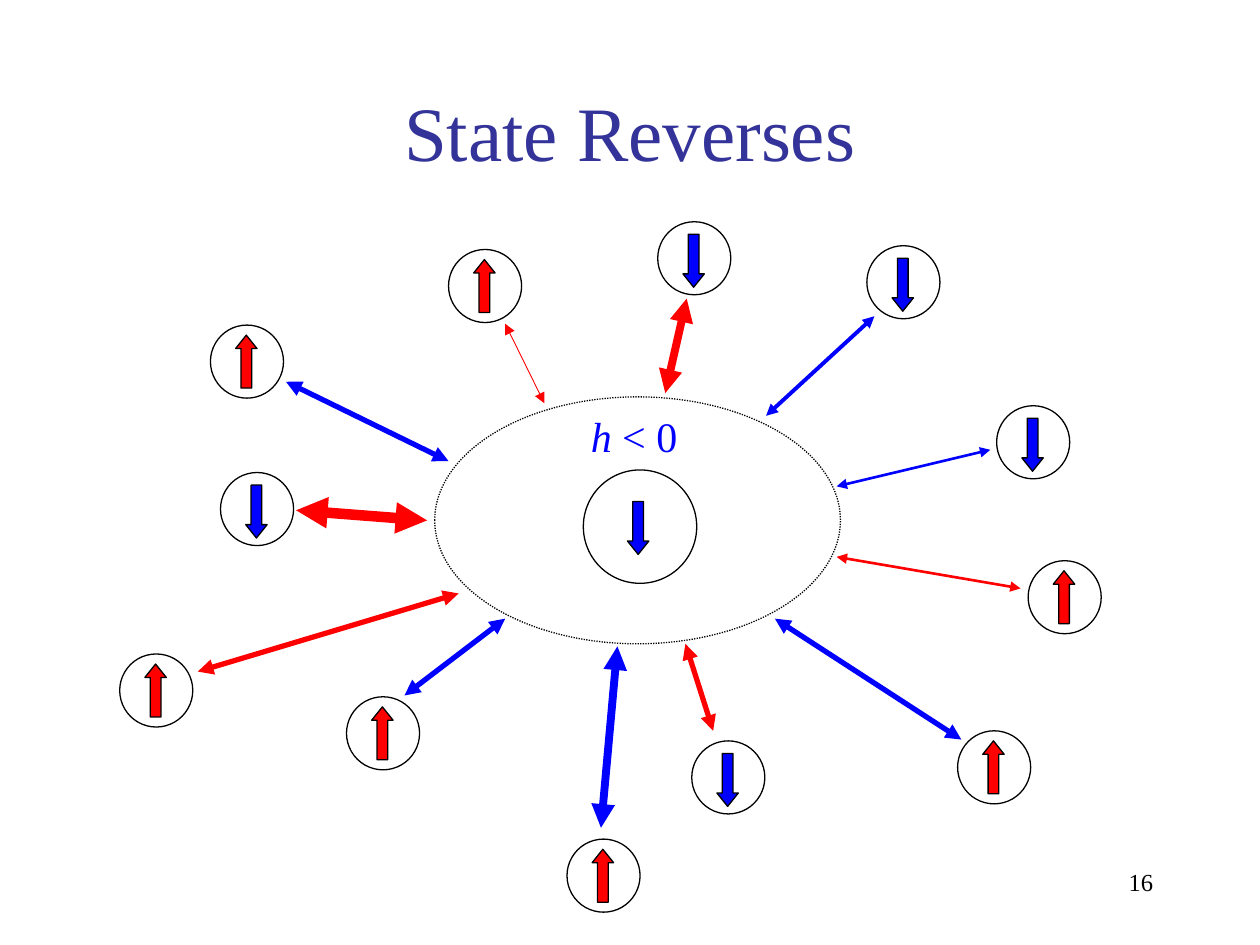
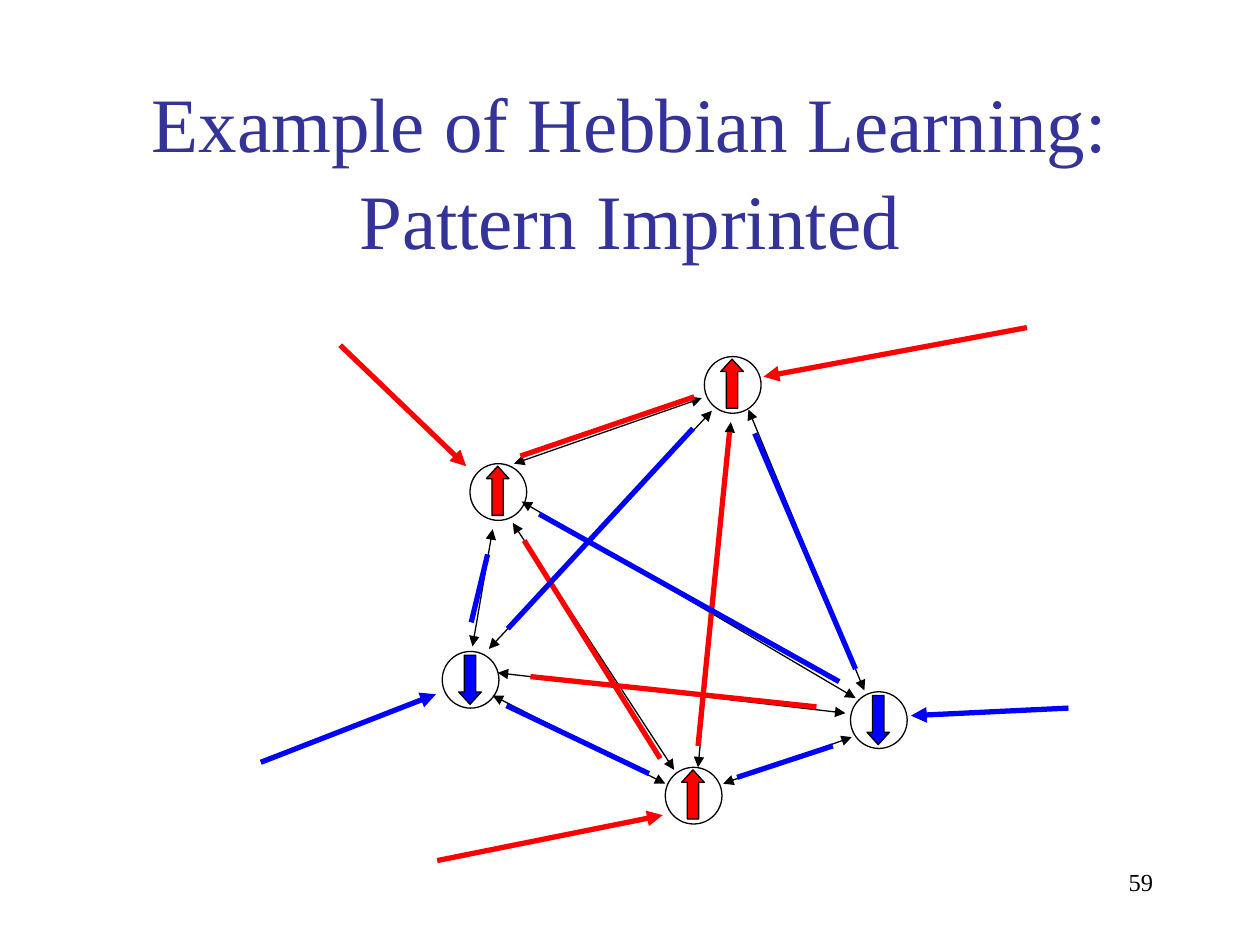
from dataclasses import dataclass
from typing import Any

from lxml.etree import SubElement
from pptx import Presentation
from pptx.dml.color import RGBColor
from pptx.enum.dml import MSO_LINE
from pptx.enum.shapes import MSO_CONNECTOR, MSO_SHAPE
from pptx.enum.text import MSO_ANCHOR, MSO_AUTO_SIZE, PP_ALIGN
from pptx.oxml.ns import qn
from pptx.util import Emu, Pt

EMU_PER_PX = 9144
TITLE_ONLY = 5
COLORS = {
    "title": "333399",
    "black": "000000",
    "white": "FFFFFF",
    "up": "FF0000",
    "down": "0000FF",
}
FONT = "Times New Roman"
TITLE_FONT = {"name": FONT, "size": Pt(44)}
NUMBER_FONT = {"name": FONT, "size": Pt(14)}
FIELD_FONT = {"name": FONT, "size": Pt(24)}


def px(length: int) -> Emu:
    return Emu(length * EMU_PER_PX)


TITLE_FRAME = {
    "auto_size": MSO_AUTO_SIZE.NONE,
    "word_wrap": True,
    "vertical_anchor": MSO_ANCHOR.MIDDLE,
    "margin_top": px(13),
}
NUMBER_FRAME = {"word_wrap": True}
FIELD_FRAME = {"word_wrap": False, "auto_size": MSO_AUTO_SIZE.SHAPE_TO_FIT_TEXT}


@dataclass(frozen=True)
class NeuronStyle:
    outline: MSO_SHAPE
    diameter: int
    arrow_width: int
    arrow_height: int
    arrow_left: int
    arrow_top: dict[str, int]
    head_ratio: float


@dataclass(frozen=True)
class Neuron:
    left: int
    top: int
    state: str


@dataclass(frozen=True)
class Link:
    start: tuple[int, int]
    end: tuple[int, int]
    color: str
    width: float = 3


NEIGHBOR = NeuronStyle(MSO_SHAPE.FLOWCHART_CONNECTOR, 58, 17, 42, 20, {"up": 8, "down": 10}, 0.625)
CENTER = NeuronStyle(MSO_SHAPE.OVAL, 90, 17, 42, 35, {"up": 25, "down": 25}, 0.625)
MEMBER = NeuronStyle(MSO_SHAPE.OVAL, 45, 18, 39, 13, {"up": 2, "down": 3}, 0.55)

NEIGHBORS = [
    Neuron(167, 258, "up"),
    Neuron(175, 375, "down"),
    Neuron(275, 553, "up"),
    Neuron(688, 195, "down"),
    Neuron(791, 322, "down"),
    Neuron(95, 519, "up"),
    Neuron(356, 198, "up"),
    Neuron(549, 588, "down"),
    Neuron(760, 580, "up"),
    Neuron(816, 445, "up"),
    Neuron(522, 176, "down"),
    Neuron(450, 666, "up"),
]
WEIGHTS = [
    Link((401, 257), (432, 320), "up", 0.5),
    Link((227, 303), (356, 366), "down"),
    Link((235, 405), (339, 413), "up", 6),
    Link((157, 533), (364, 471), "up"),
    Link((321, 552), (401, 491), "down"),
    Link((477, 657), (490, 513), "down", 4.5),
    Link((566, 580), (544, 511), "up"),
    Link((763, 587), (615, 491), "down"),
    Link((810, 467), (664, 442), "up", 1.5),
    Link((694, 251), (608, 330), "down", 2.25),
    Link((545, 237), (528, 312), "up", 4.5),
    Link((786, 357), (664, 386), "down", 1.5),
]

MEMBERS = [
    Neuron(373, 368, "up"),
    Neuron(351, 517, "down"),
    Neuron(528, 609, "up"),
    Neuron(675, 549, "down"),
    Neuron(559, 283, "up"),
]
CONNECTIONS = [
    Link(start, end, "black", 0.75)
    for start, end in [
        ((391, 552), (528, 622)),
        ((391, 420), (375, 513)),
        ((557, 316), (408, 368)),
        ((594, 325), (686, 548)),
        ((574, 622), (676, 585)),
        ((414, 398), (679, 554)),
        ((388, 515), (565, 326)),
        ((554, 609), (580, 335)),
        ((395, 534), (671, 566)),
        ((407, 415), (535, 611)),
    ]
]
INPUTS = [
    Link((270, 274), (370, 370), "up"),
    Link((207, 605), (346, 551), "down"),
    Link((347, 683), (526, 647), "up"),
    Link((848, 562), (723, 568), "down"),
    Link((815, 260), (606, 299), "up"),
]
IMPRINTS = [
    Link((413, 362), (551, 315), "up"),
    Link((554, 592), (579, 343), "up"),
    Link((648, 561), (421, 537), "up"),
    Link((524, 602), (416, 429), "up"),
    Link((515, 614), (402, 560), "down"),
    Link((661, 592), (585, 617), "down"),
    Link((387, 440), (374, 494), "down"),
    Link((599, 344), (679, 531), "down"),
    Link((550, 340), (403, 499), "down"),
    Link((666, 541), (428, 408), "down"),
]


def rgb(name: str) -> RGBColor:
    return RGBColor.from_string(COLORS[name])


def apply_format(target: Any, values: dict[str, Any]) -> None:
    for name, value in values.items():
        setattr(target, name, value)


def add_run(paragraph: Any, text: str, font: dict[str, Any], color: str) -> Any:
    run = paragraph.add_run()
    run.text = text
    apply_format(run.font, font)
    run.font.color.rgb = rgb(color)
    return run


def place(shape: Any, left: int, top: int, width: int, height: int) -> None:
    apply_format(shape, {"left": px(left), "top": px(top), "width": px(width), "height": px(height)})


def add_slide(presentation: Any, title_lines: list[str], title_height: int, number: str) -> Any:
    slide = presentation.slides.add_slide(presentation.slide_layouts[TITLE_ONLY])
    title = slide.shapes.title
    place(title, 75, 67, 850, title_height)
    apply_format(title.text_frame, TITLE_FRAME)
    paragraph = title.text_frame.paragraphs[0]
    apply_format(paragraph, {"alignment": PP_ALIGN.CENTER, "line_spacing": 1.05})
    for index, line in enumerate(title_lines):
        if index:
            paragraph.add_line_break()
        add_run(paragraph, line, TITLE_FONT, "title")

    number_box = slide.shapes.add_textbox(px(717), px(683), px(208), px(50))
    apply_format(number_box.text_frame, NUMBER_FRAME)
    paragraph = number_box.text_frame.paragraphs[0]
    paragraph.alignment = PP_ALIGN.RIGHT
    add_run(paragraph, number, NUMBER_FONT, "black")
    return slide


def add_outlined(shapes: Any, kind: MSO_SHAPE, left: int, top: int, width: int, height: int,
                 fill: str | None) -> Any:
    shape = shapes.add_shape(kind, px(left), px(top), px(width), px(height))
    shape.shadow.inherit = False
    if fill is None:
        shape.fill.background()
    else:
        shape.fill.solid()
        shape.fill.fore_color.rgb = rgb(fill)
    shape.line.color.rgb = rgb("black")
    shape.line.width = Pt(0.75)
    return shape


def add_neuron(slide: Any, neuron: Neuron, style: NeuronStyle) -> None:
    group = slide.shapes.add_group_shape()
    add_outlined(group.shapes, style.outline, neuron.left, neuron.top,
                 style.diameter, style.diameter, "white")
    arrow = add_outlined(group.shapes, MSO_SHAPE.UP_ARROW, neuron.left + style.arrow_left,
                         neuron.top + style.arrow_top[neuron.state],
                         style.arrow_width, style.arrow_height, neuron.state)
    arrow.adjustments[0] = 0.5
    arrow.adjustments[1] = style.head_ratio
    if neuron.state == "down":
        arrow.rotation = 180


def add_link(slide: Any, link: Link, arrowheads: tuple[str, ...]) -> None:
    connector = slide.shapes.add_connector(
        MSO_CONNECTOR.STRAIGHT, *(px(value) for value in link.start + link.end))
    connector.line.color.rgb = rgb(link.color)
    connector.line.width = Pt(link.width)
    properties = connector._element.spPr
    outline = properties.find(qn("a:ln"))
    for arrowhead in arrowheads:
        SubElement(outline, qn(f"a:{arrowhead}"), type="triangle")
    SubElement(properties, qn("a:effectLst"))


def add_links(slide: Any, links: list[Link], *arrowheads: str) -> None:
    for link in links:
        add_link(slide, link, arrowheads)


def build_state_slide(presentation: Any) -> None:
    slide = add_slide(presentation, ["State Reverses"], 62, "16")
    for neuron in NEIGHBORS:
        add_neuron(slide, neuron, NEIGHBOR)
    add_neuron(slide, Neuron(463, 373, "down"), CENTER)
    boundary = add_outlined(slide.shapes, MSO_SHAPE.OVAL, 345, 315, 322, 196, None)
    boundary.line.dash_style = MSO_LINE.ROUND_DOT
    add_links(slide, WEIGHTS, "headEnd", "tailEnd")

    field_box = slide.shapes.add_textbox(px(459), px(321), px(89), px(50))
    apply_format(field_box.text_frame, FIELD_FRAME)
    paragraph = field_box.text_frame.paragraphs[0]
    add_run(paragraph, "h", {**FIELD_FONT, "italic": True}, "down")
    add_run(paragraph, " < 0", FIELD_FONT, "down")


def build_hebbian_slide(presentation: Any) -> None:
    title_lines = ["Example of Hebbian Learning:", "Pattern Imprinted"]
    slide = add_slide(presentation, title_lines, 125, "59")
    for neuron in MEMBERS:
        add_neuron(slide, neuron, MEMBER)
    add_links(slide, CONNECTIONS, "headEnd", "tailEnd")
    add_links(slide, INPUTS, "tailEnd")
    add_links(slide, IMPRINTS)


def main() -> None:
    presentation = Presentation()
    presentation.slide_width = px(1000)
    presentation.slide_height = px(750)
    build_state_slide(presentation)
    build_hebbian_slide(presentation)
    presentation.save("out.pptx")


if __name__ == "__main__":
    main()
